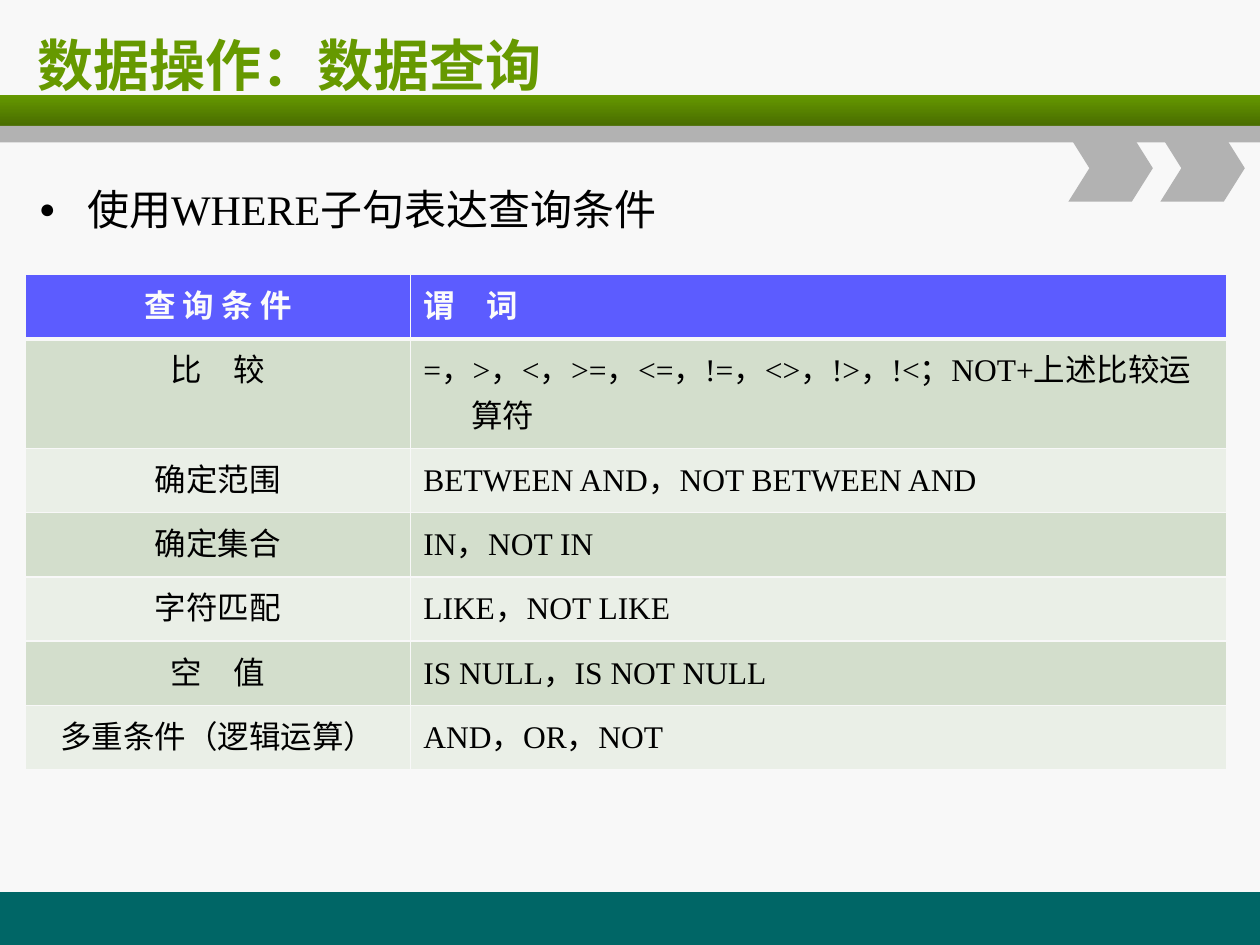
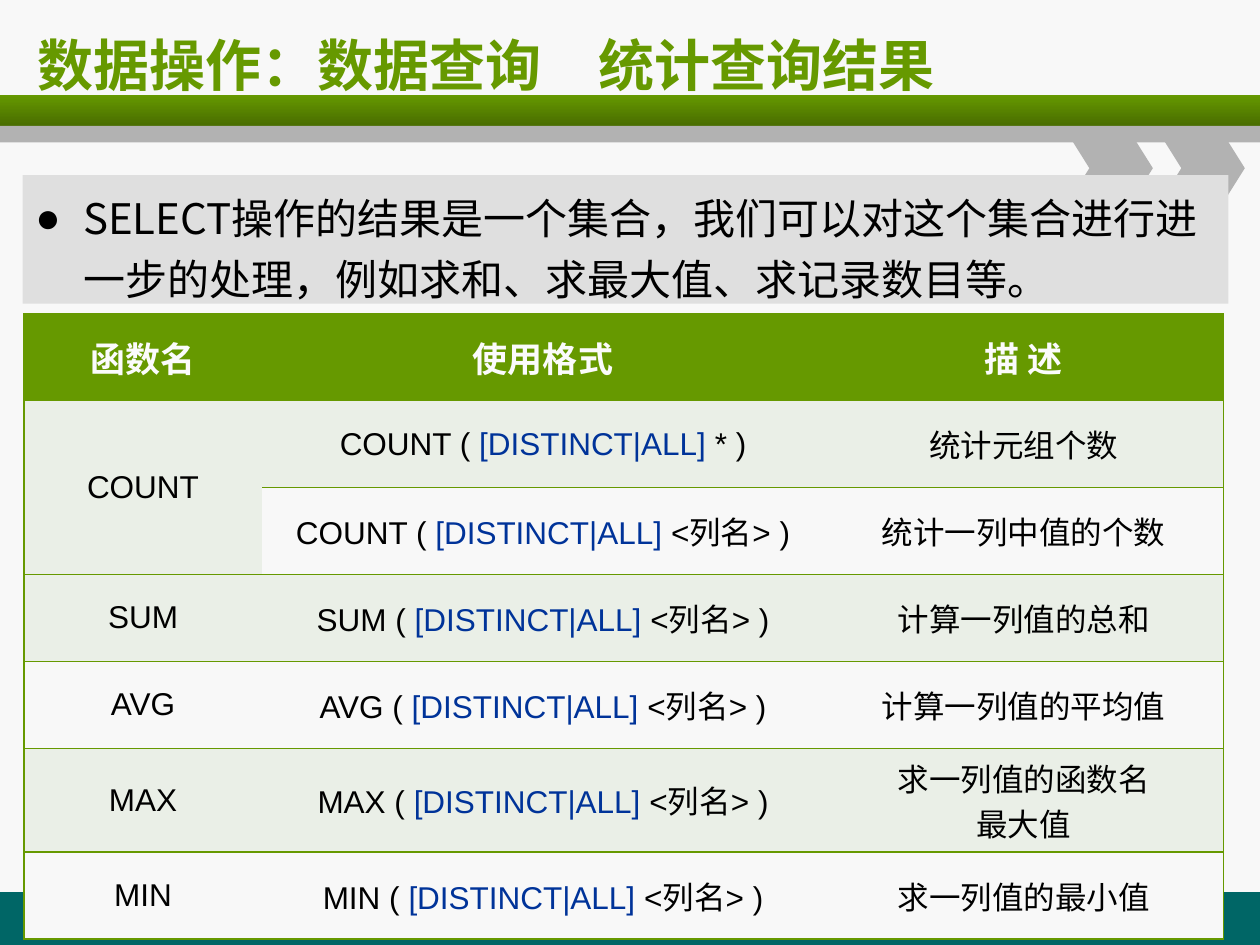
"""Builds two slides on SQL data queries: WHERE predicates and aggregate functions."""
import pptx
import pptx.dml.color
import pptx.enum.shapes
import pptx.enum.text
import pptx.oxml
import pptx.oxml.ns
import pptx.util
from lxml import etree

SHAPE = pptx.enum.shapes.MSO_SHAPE
ALIGN = pptx.enum.text.PP_ALIGN
ANCHOR = pptx.enum.text.MSO_ANCHOR

THEME = {
    "paper": "F8F8F8", "green": "669900", "dark green": "496D00", "teal": "006666",
    "grey": "B2B2B2", "panel": "DFDFDF", "violet": "5C5CFF", "sage": "D3DECC",
    "mist": "EAEFE7", "ink": "000000", "light": "FBFBFB", "navy": "003399",
    "title": {"size": 32, "name": "DejaVu Sans", "bold": True},
    "serif list": {"size": 24, "name": "Times New Roman", "bold": False},
    "sans list": {"size": 24, "name": "Noto Sans CJK SC", "bold": False},
    "serif head": {"size": 18, "name": "Times New Roman", "bold": True},
    "serif cell": {"size": 18, "name": "Times New Roman", "bold": False},
    "sans head": {"size": 20, "name": "Arial", "bold": True},
    "sans cell": {"size": 18, "name": "Arial", "bold": False},
    "east asian": "Noto Sans CJK SC",
}
COLUMNS = 100
HANGING = 3.8
OPTION = "[DISTINCT|ALL] "

FURNITURE = [
    (SHAPE.RECTANGLE, (0, 70.8, 100, 4.2), "teal"),
    (SHAPE.RECTANGLE, (0, 7.5, 100, 2.5), "green"),
    (SHAPE.RECTANGLE, (0, 10, 100, 1.3), "grey"),
    (SHAPE.CHEVRON, (84.8, 10.7, 6.7, 5.3), "grey"),
    (SHAPE.CHEVRON, (92.1, 10.7, 6.7, 5.3), "grey"),
]
TITLE_BOX = (2, 1.7, 95.5, 6.7)

PREDICATES = [
    ("查 询 条 件", "谓　词"),
    ("比　较", "=，>，<，>=，<=，!=，<>，!>，!<；NOT+上述比较运算符"),
    ("确定范围", "BETWEEN AND，NOT BETWEEN AND"),
    ("确定集合", "IN，NOT IN"),
    ("字符匹配", "LIKE，NOT LIKE"),
    ("空　值", "IS NULL，IS NOT NULL"),
    ("多重条件（逻辑运算）", "AND，OR，NOT"),
]
AGGREGATES = [
    ("COUNT", "*", "统计元组个数"),
    ("COUNT", "<列名>", "统计一列中值的个数"),
    ("SUM", "<列名>", "计算一列值的总和"),
    ("AVG", "<列名>", "计算一列值的平均值"),
    ("MAX", "<列名>", "求一列值的函数名\n最大值"),
    ("MIN", "<列名>", "求一列值的最小值"),
]
FUNCTIONS = [("函数名", "使用格式", "描 述")] + [
    (name, f"{name} ( {OPTION}{argument} )", purpose)
    for name, argument, purpose in AGGREGATES]

SLIDES = [
    {
        "title": "数据操作：数据查询",
        "list": {"text": "使用WHERE子句表达查询条件", "at": (1.9, 14.1, 51.4, 5),
                 "style": "serif list", "bullet size": 65,
                 "format": {"alignment": ALIGN.CENTER}},
        "table": {"rows": PREDICATES, "at": (2, 21.8), "widths": (30.6, 64.8),
                  "heights": [5.1, 8.7] + [5.1] * 5, "style": "serif",
                  "fills": ("violet", "sage", "mist"), "anchor": ANCHOR.TOP,
                  "aligns": (ALIGN.CENTER, ALIGN.LEFT),
                  "line": "paper", "head line": 3, "inner": True, "merge": None},
    },
    {
        "title": "数据操作：数据查询　统计查询结果",
        "list": {"text": "SELECT操作的结果是一个集合，我们可以对这个集合进行进一步的处理，"
                         "例如求和、求最大值、求记录数目等。",
                 "at": (1.8, 13.9, 95.7, 10.2), "style": "sans list", "bullet size": 100,
                 "fill": "panel",
                 "format": {"alignment": ALIGN.LEFT, "line_spacing": pptx.util.Pt(35)}},
        "table": {"rows": FUNCTIONS, "at": (1.9, 24.9), "widths": (18.9, 44.6, 31.7),
                  "heights": [6.9] * 7, "style": "sans",
                  "fills": ("green", "mist", "paper"), "anchor": ANCHOR.MIDDLE,
                  "aligns": (ALIGN.CENTER,) * 3,
                  "line": "green", "head line": 1, "inner": False, "merge": ((1, 0), (2, 0))},
    },
]


def grid(value):
    """Return a length in grid columns, each a hundredth of the slide's width."""
    return pptx.util.Inches(value * 10 / COLUMNS)


def colour(name):
    """Return a theme colour."""
    return pptx.dml.color.RGBColor.from_string(THEME[name])


def apply(target, values):
    """Set each named attribute on the target."""
    for name, value in values.items():
        setattr(target, name, value)


def place(box, at):
    """Move a box to its grid position."""
    apply(box, dict(zip(("left", "top", "width", "height"), map(grid, at))))


def add_child(parent, tag, **attributes):
    """Append a drawing element to its parent."""
    child = etree.SubElement(parent, pptx.oxml.ns.qn(tag))
    for name, value in attributes.items():
        child.set(name, str(value))
    return child


def add_span(para, text, style, ink):
    """Add one formatted run."""
    span = para.add_run()
    span.text = text
    values = THEME[style]
    apply(span.font, {**values, "size": pptx.util.Pt(values["size"])})
    span.font.color.rgb = colour(ink)
    add_child(span.font._element, "a:ea", typeface=THEME["east asian"])


def hang(para):
    """Give a paragraph the shared hanging indent and return its properties."""
    properties = para._p.get_or_add_pPr()
    properties.set("marL", str(grid(HANGING)))
    properties.set("indent", str(-grid(HANGING)))
    return properties


def furnish(page):
    """Move the shared bands and chevrons to the layout of the page."""
    layout = page.slide_layout
    layout.background.fill.solid()
    layout.background.fill.fore_color.rgb = colour("paper")
    for number, (kind, at, fill) in enumerate(FURNITURE):
        box = page.shapes.add_shape(kind, *map(grid, at))
        box.shadow.inherit = False
        box.line.fill.background()
        if kind == SHAPE.CHEVRON:
            box.adjustments[0] = 0.314
        if fill == "green":
            box.fill.gradient()
            box.fill.gradient_angle = 270
            for stop, name, position in zip(
                    box.fill.gradient_stops, ("green", "dark green"), (0, 1)):
                stop.color.rgb = colour(name)
                stop.position = position
        else:
            box.fill.solid()
            box.fill.fore_color.rgb = colour(fill)
        box.element.xpath("./p:nvSpPr/p:cNvPr")[0].set("id", str(20 + number))
        layout.shapes.element.insert(2 + number, box.element)


def write_title(page, text):
    """Fill the title placeholder."""
    box = page.shapes.title
    place(box, TITLE_BOX)
    apply(box.text_frame, {"vertical_anchor": ANCHOR.MIDDLE, "word_wrap": True,
                           "auto_size": pptx.enum.text.MSO_AUTO_SIZE.NONE})
    para = box.text_frame.paragraphs[0]
    para.alignment = ALIGN.LEFT
    add_span(para, text, "title", "green")


def write_list(page, content):
    """Fill the body placeholder with one bulleted paragraph."""
    box = page.placeholders[1]
    place(box, content["at"])
    if "fill" in content:
        box.fill.solid()
        box.fill.fore_color.rgb = colour(content["fill"])
    apply(box.text_frame, {"vertical_anchor": ANCHOR.TOP, "word_wrap": True,
                           "auto_size": pptx.enum.text.MSO_AUTO_SIZE.NONE})
    para = box.text_frame.paragraphs[0]
    apply(para, {"space_before": pptx.util.Pt(0), **content["format"]})
    properties = hang(para)
    add_child(properties, "a:buSzPct", val=content["bullet size"] * 1000)
    add_child(properties, "a:buChar", char="●")
    add_span(para, content["text"], content["style"], "ink")


def draw_borders(cell, widths, line):
    """Draw the left, right, top and bottom borders; a width of 0 hides one."""
    properties = cell._tc.get_or_add_tcPr()
    for place_in_order, (side, width) in enumerate(zip("LRTB", widths)):
        border = add_child(properties, f"a:ln{side}", w=pptx.util.Pt(width))
        if width:
            add_child(add_child(border, "a:solidFill"), "a:srgbClr", val=THEME[line])
        else:
            add_child(border, "a:noFill")
        properties.insert(place_in_order, border)


def write_cell(cell, text, style, ink, align):
    """Write a cell's paragraphs, with the optional keywords in navy."""
    for number, line in enumerate(text.split("\n")):
        frame = cell.text_frame
        para = frame.add_paragraph() if number else frame.paragraphs[0]
        para.alignment = align
        hang(para)
        for part in line.partition(OPTION):
            if part:
                add_span(para, part, style, "navy" if part == OPTION else ink)


def draw_table(page, content):
    """Draw a table with a header and alternating row fills."""
    rows, widths, heights = (content[key] for key in ("rows", "widths", "heights"))
    table = page.shapes.add_table(
        len(rows), len(widths), *map(grid, (*content["at"], sum(widths), sum(heights)))).table
    for column, width in zip(table.columns, widths):
        column.width = grid(width)
    for row, height in zip(table.rows, heights):
        row.height = grid(height)
    if content["merge"]:
        first, last = content["merge"]
        table.cell(*first).merge(table.cell(*last))
    head_fill, *band_fills = content["fills"]
    for r, row in enumerate(rows):
        style = content["style"] + (" cell" if r else " head")
        for c, text in enumerate(row):
            cell = table.cell(r, c)
            cell.vertical_anchor = content["anchor"]
            cell.fill.solid()
            cell.fill.fore_color.rgb = colour(band_fills[(r - 1) % 2] if r else head_fill)
            draw_borders(cell, (
                int(content["inner"] or c == 0),
                int(content["inner"] or c == len(row) - 1),
                content["head line"] if r == 1 else 1,
                1 if r else content["head line"]), content["line"])
            if not cell.is_spanned:
                write_cell(cell, text, style, "ink" if r else "light", content["aligns"][c])


def main():
    """Build and save the deck."""
    deck = pptx.Presentation()
    deck.slide_width, deck.slide_height = grid(COLUMNS), grid(COLUMNS * 3 / 4)
    layout = deck.slide_layouts[1]
    for number, content in enumerate(SLIDES):
        page = deck.slides.add_slide(layout)
        if number == 0:
            furnish(page)
        write_title(page, content["title"])
        write_list(page, content["list"])
        draw_table(page, content["table"])
    deck.save("out.pptx")


if __name__ == "__main__":
    main()
